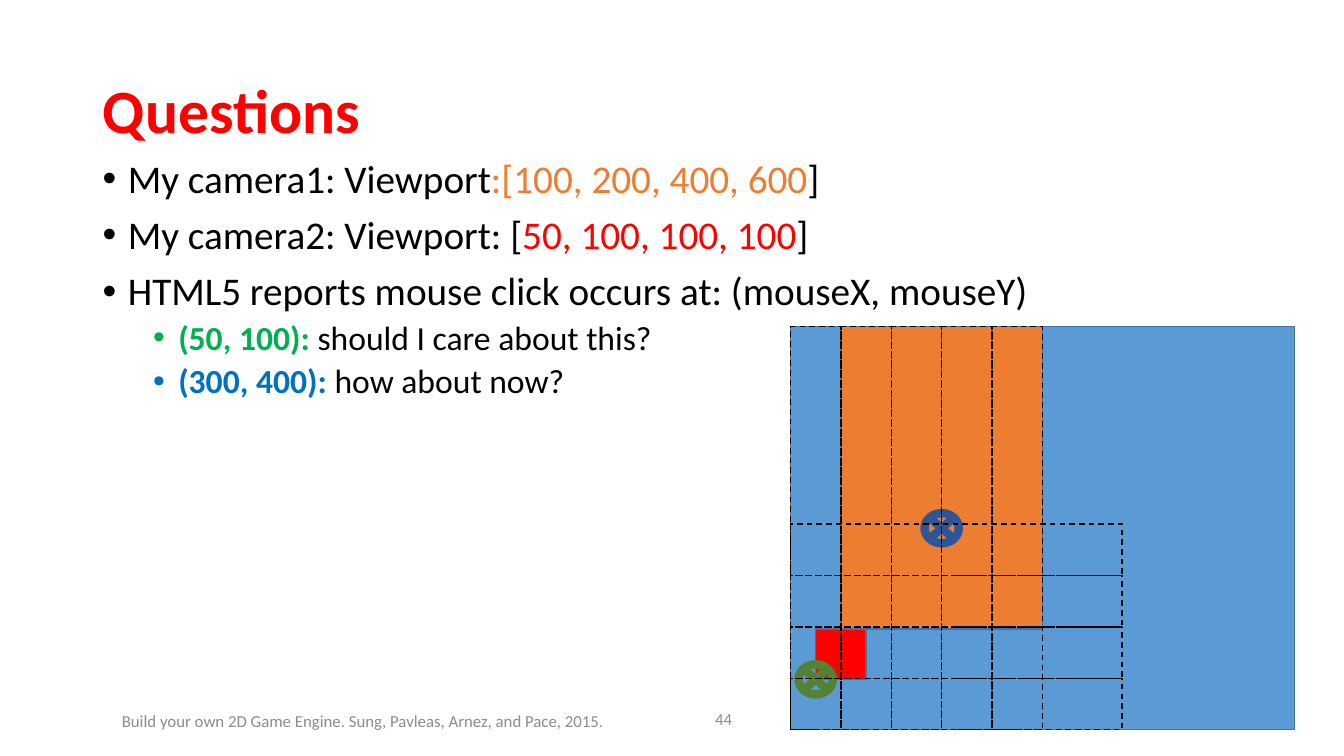
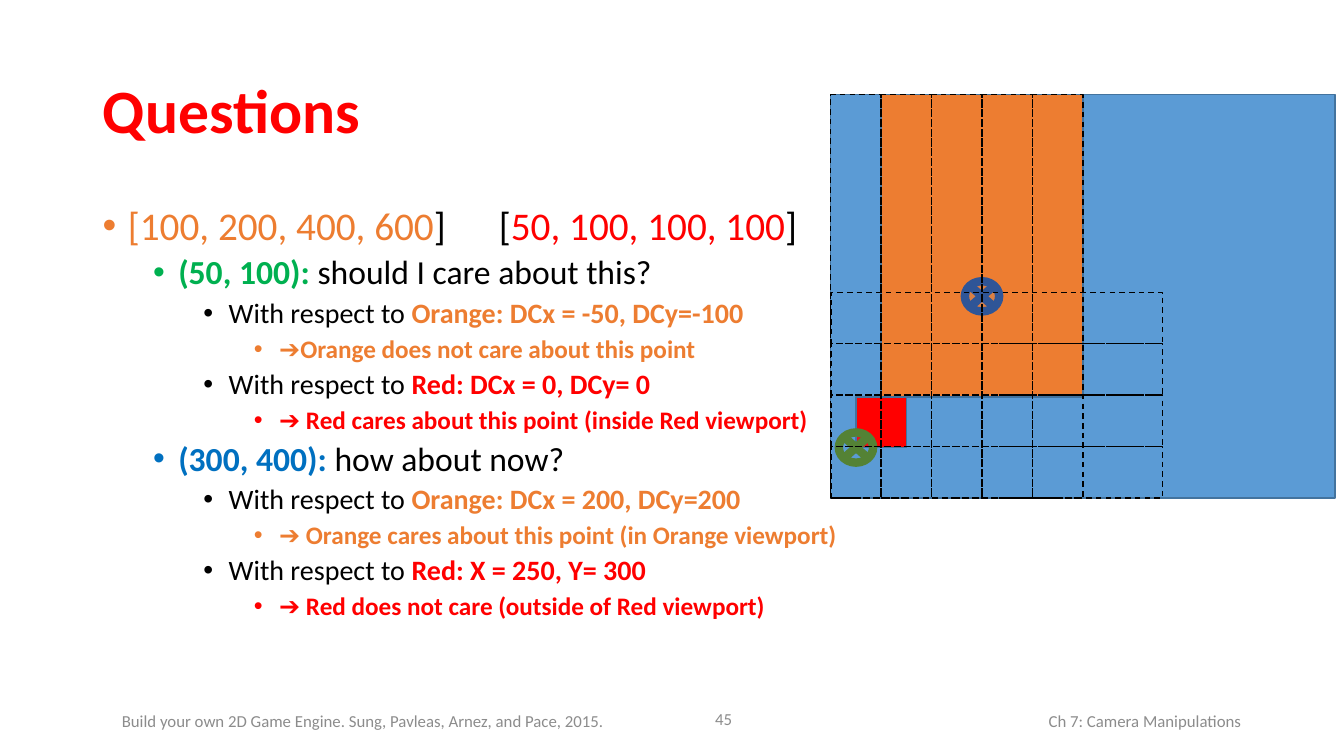
"""Builds two question slides on mouse clicks and camera viewports."""
from lxml import etree
from pptx import Presentation
from pptx.dml.color import RGBColor
from pptx.enum.dml import MSO_LINE
from pptx.enum.shapes import MSO_SHAPE
from pptx.enum.text import MSO_ANCHOR, MSO_AUTO_SIZE, PP_ALIGN
from pptx.oxml.ns import qn
from pptx.util import Inches, Pt

RECT, JUNCTION = MSO_SHAPE.RECTANGLE, MSO_SHAPE.FLOWCHART_SUMMING_JUNCTION
DASH = MSO_LINE.DASH
MIDDLE, TOP = MSO_ANCHOR.MIDDLE, MSO_ANCHOR.TOP
LEFT, RIGHT = PP_ALIGN.LEFT, PP_ALIGN.RIGHT
NO_AUTOFIT = MSO_AUTO_SIZE.NONE

BLACK = RGBColor(0x00, 0x00, 0x00)
GRAY = RGBColor(0x8C, 0x8C, 0x8C)
RED = RGBColor(0xFF, 0x00, 0x00)
ORANGE = RGBColor(0xED, 0x7D, 0x31)
GREEN = RGBColor(0x00, 0xB0, 0x50)
BLUE = RGBColor(0x00, 0x70, 0xC0)
CANVAS_BLUE = RGBColor(0x5B, 0x9B, 0xD5)
OUTLINE = RGBColor(0x43, 0x73, 0x9E)
DARK_GREEN = RGBColor(0x54, 0x82, 0x35)
DARK_BLUE = RGBColor(0x2F, 0x55, 0x97)

FONT = "Calibri"
LEVEL_SIZES = [28, 24, 20, 18]
FIRST_NUMBER = 44
BOOK = "Build your own 2D Game Engine. Sung, Pavleas, Arnez, and Pace, 2015."
CHAPTER = "Ch 7: Camera Manipulations"

CANVAS_W, CANVAS_H = 5, 4
UNITS_PER_INCH = 200
VIEWPORTS = [((100, 200, 400, 600), ORANGE), ((50, 100, 100, 100), RED)]
CLICKS = [((50, 100), DARK_GREEN), ((300, 400), DARK_BLUE)]
MARKER_W, MARKER_H = 0.34, 0.3
COLUMNS, COLUMN_W = 5, 0.5
ROWS, ROW_W, ROW_H = 4, 3.29, 0.51

FIRST_CLICK = (1, [("(50, 100): ", GREEN, True),
                   ("should I care about this?", BLACK, False)])
SECOND_CLICK = (1, [("(300, 400): ", BLUE, True),
                    ("how about now?", BLACK, False)])


def respect(result, color):
    return 2, [("With respect to ", BLACK, False), (result, color, True)]


def verdict(text, color):
    return 3, [(text, color, True)]


SLIDES = [
    {"body_top": 1.53, "figure": (7.84, 3.24), "chapter": False, "body": [
        (0, [("My camera1: Viewport", BLACK, False),
             (":[100, 200, 400, 600", ORANGE, False), ("]", BLACK, False)]),
        (0, [("My camera2: Viewport: [", BLACK, False),
             ("50, 100, 100, 100", RED, False), ("]", BLACK, False)]),
        (0, [("HTML5 reports mouse click occurs at: (mouseX, mouseY)",
              BLACK, False)]),
        FIRST_CLICK,
        SECOND_CLICK,
    ]},
    {"body_top": 2, "figure": (8.24, 0.94), "chapter": True, "body": [
        (0, [("[100, 200, 400, 600", ORANGE, False), ("]\t[", BLACK, False),
             ("50, 100, 100, 100", RED, False), ("]", BLACK, False)]),
        FIRST_CLICK,
        respect("Orange: DCx = -50, DCy=-100", ORANGE),
        verdict("➔Orange does not care about this point", ORANGE),
        respect("Red: DCx = 0, DCy= 0", RED),
        verdict("➔ Red cares about this point (inside Red viewport)", RED),
        SECOND_CLICK,
        respect("Orange: DCx = 200, DCy=200", ORANGE),
        verdict("➔ Orange cares about this point (in Orange viewport)", ORANGE),
        respect("Red: X = 250, Y= 300", RED),
        verdict("➔ Red does not care (outside of Red viewport)", RED),
    ]},
]


def style(font, size, color, bold=False):
    font.name, font.size, font.bold = FONT, Pt(size), bold
    font.color.rgb = color


def place(shape, x, y, w, h):
    shape.left, shape.top = Inches(x), Inches(y)
    shape.width, shape.height = Inches(w), Inches(h)


def add_text(s, x, y, w, h, anchor):
    tf = s.shapes.add_textbox(Inches(x), Inches(y), Inches(w), Inches(h)).text_frame
    tf.word_wrap = True
    tf.vertical_anchor = anchor
    return tf


def add_title(s, text):
    title = s.shapes.title
    place(title, 0.92, 0.4, 11.5, 1.45)
    tf = title.text_frame
    tf.text = text
    tf.auto_size = NO_AUTOFIT
    tf.vertical_anchor = MIDDLE
    p = tf.paragraphs[0]
    p.alignment, p.line_spacing = LEFT, 0.9
    style(p.runs[0].font, 44, RED, True)


def add_footer(s, x, y, w, text, align):
    p = add_text(s, x, y, w, 0.4, MIDDLE).paragraphs[0]
    p.text = text
    p.alignment = align
    style(p.runs[0].font, 12, GRAY)
    return p


def add_slide_number(s, number):
    p = add_footer(s, 6.17, 6.93, 1.19, str(number), RIGHT)
    r = p.runs[0]._r
    field = etree.Element(qn("a:fld"), type="slidenum",
                          id="{B6F15528-21DE-4FAA-801E-634DDDAF4B2B}")
    r.addprevious(field)
    field.extend(list(r))
    p._p.remove(r)


def add_bullet(p, level):
    pPr = p._p.get_or_add_pPr()
    pPr.set("marL", str(Inches(0.25 + 0.5 * level)))
    pPr.set("indent", str(Inches(-0.25)))
    etree.SubElement(pPr, qn("a:buFont"), typeface="Arial")
    etree.SubElement(pPr, qn("a:buChar"), char="•")
    if "\t" in p.text:
        tabs = etree.SubElement(pPr, qn("a:tabLst"))
        etree.SubElement(tabs, qn("a:tab"), pos=str(Inches(3.93)), algn="l")


def add_body(s, top, lines):
    tf = add_text(s, 0.92, top, 11.5, 4.76, TOP)
    for i, (level, runs) in enumerate(lines):
        p = tf.add_paragraph() if i else tf.paragraphs[0]
        p.level, p.line_spacing = level, 0.9
        p.space_before = Pt(5 if level else 10)
        for text, color, bold in runs:
            r = p.add_run()
            r.text = text
            style(r.font, LEVEL_SIZES[level], color, bold)
        add_bullet(p, level)


def add_part(group, kind, x, y, w, h, fill, line, width=1):
    shape = group.shapes.add_shape(kind, Inches(x), Inches(y), Inches(w), Inches(h))
    shape.shadow.inherit = False
    if fill is None:
        shape.fill.background()
    else:
        shape.fill.solid()
        shape.fill.fore_color.rgb = fill
    shape.line.color.rgb = line
    shape.line.width = Pt(width)
    return shape


def add_figure(s, left, top):
    group = s.shapes.add_group_shape()
    bottom = top + CANVAS_H
    add_part(group, RECT, left, top, CANVAS_W, CANVAS_H, CANVAS_BLUE, OUTLINE)
    for viewport, color in VIEWPORTS:
        x, y, w, h = (v / UNITS_PER_INCH for v in viewport)
        add_part(group, RECT, left + x, bottom - y - h, w, h, color, OUTLINE)
    for click, color in CLICKS:
        x, y = (v / UNITS_PER_INCH for v in click)
        marker = add_part(group, JUNCTION, left + x - MARKER_W / 2,
                          bottom - y - MARKER_H / 2, MARKER_W, MARKER_H,
                          CANVAS_BLUE, color, 6)
        rgb = marker.fill._xPr.find(qn("a:solidFill"))[0]
        etree.SubElement(rgb, qn("a:alpha"), val="12000")
    cells = [(left + i * COLUMN_W, top, COLUMN_W, CANVAS_H) for i in range(COLUMNS)]
    cells += [(left, bottom - (i + 1) * ROW_H, ROW_W, ROW_H) for i in range(ROWS)]
    for cell in cells:
        add_part(group, RECT, *cell, None, BLACK).line.dash_style = DASH


def main():
    prs = Presentation()
    prs.slide_width, prs.slide_height = Inches(13.33), Inches(7.5)
    prs.element.set("firstSlideNum", str(FIRST_NUMBER))
    for number, content in enumerate(SLIDES, FIRST_NUMBER):
        s = prs.slides.add_slide(prs.slide_layouts[5])
        add_footer(s, 1.11, 6.95, 5.05, BOOK, LEFT)
        if content["chapter"]:
            add_footer(s, 7.6, 6.95, 4.81, CHAPTER, RIGHT)
        add_slide_number(s, number)
        add_title(s, "Questions")
        add_body(s, content["body_top"], content["body"])
        add_figure(s, *content["figure"])
    prs.save("out.pptx")


if __name__ == "__main__":
    main()
